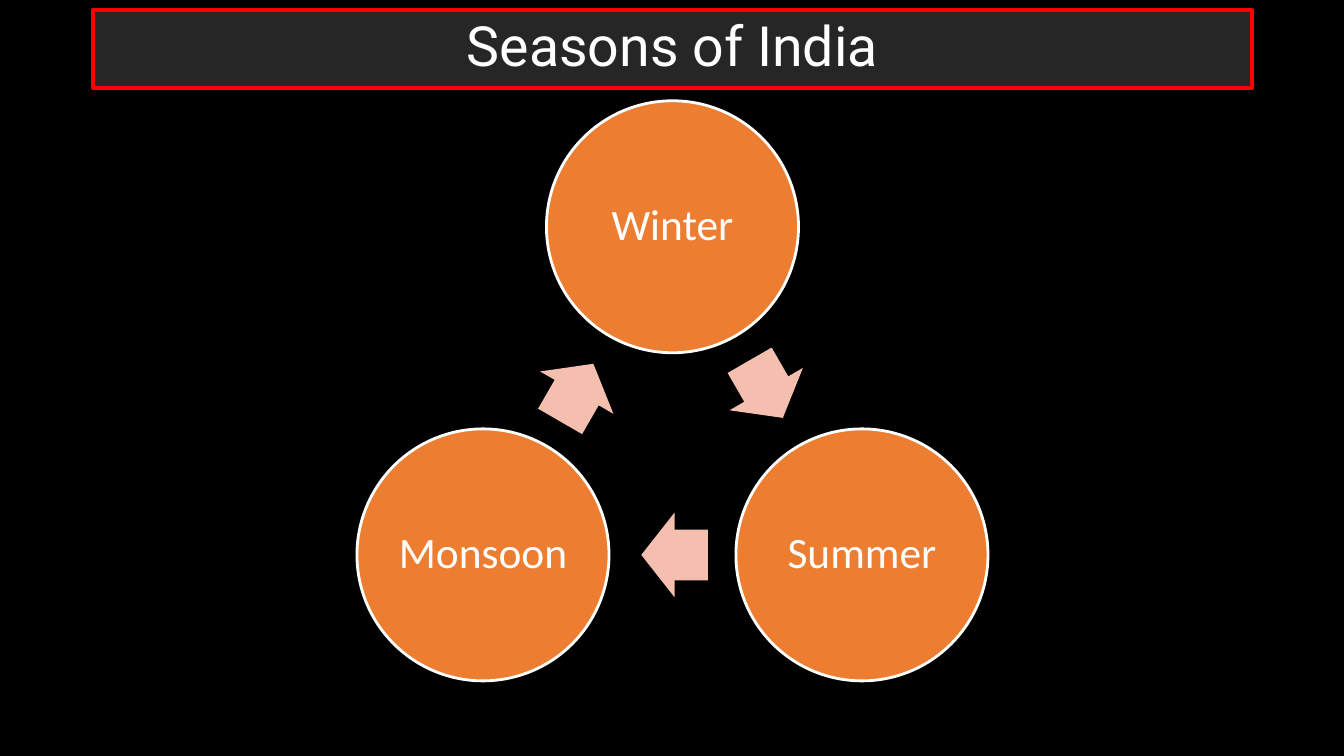
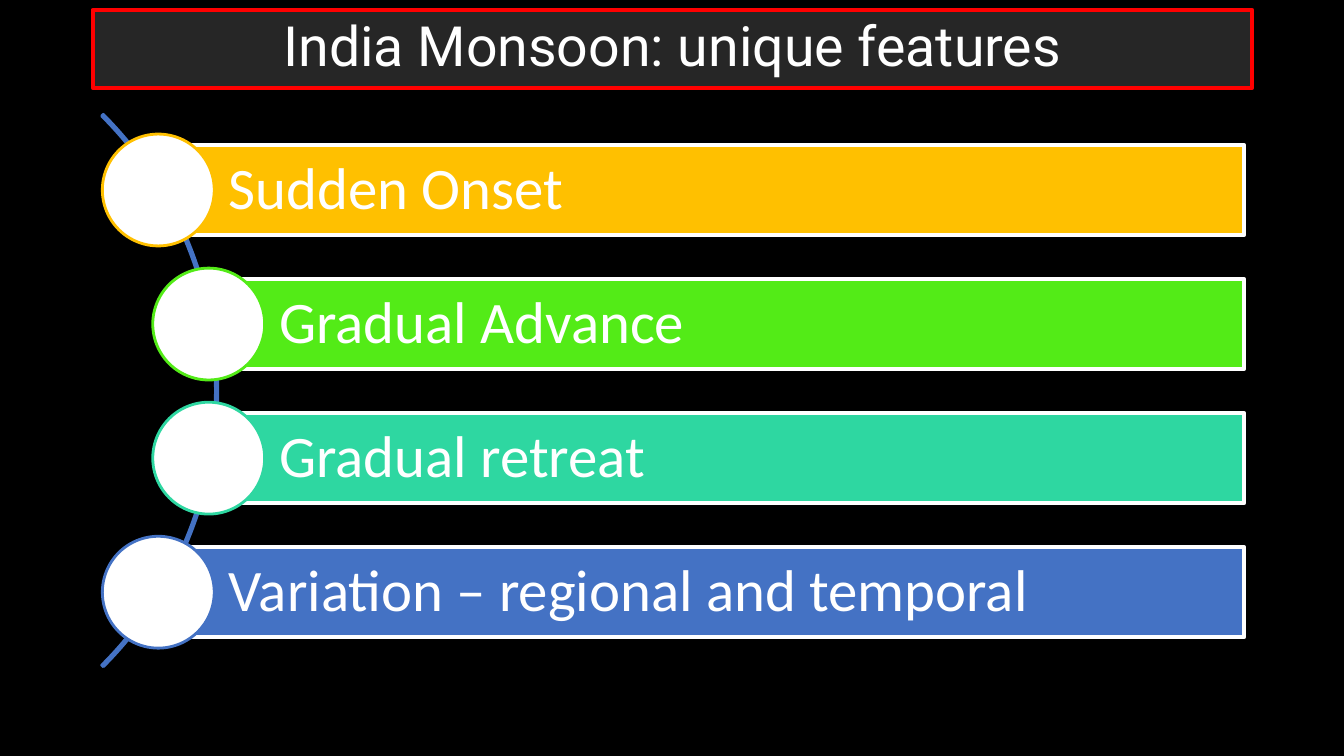
import math

from pptx import Presentation
from pptx import util as u
from pptx.dml.color import RGBColor
from pptx.enum import shapes, text

BLACK = RGBColor(0x00, 0x00, 0x00)
WHITE = RGBColor(0xFF, 0xFF, 0xFF)
CHARCOAL = RGBColor(0x26, 0x26, 0x26)
RED = RGBColor(0xFF, 0x00, 0x00)
ORANGE = RGBColor(0xED, 0x7D, 0x31)
PEACH = RGBColor(0xF4, 0xBF, 0xAE)
AMBER = RGBColor(0xFF, 0xC0, 0x00)
GREEN = RGBColor(0x53, 0xEB, 0x17)
TEAL = RGBColor(0x2E, 0xD7, 0xA1)
BLUE = RGBColor(0x44, 0x72, 0xC4)

SHAPE = shapes.MSO_SHAPE
ALIGN = text.PP_ALIGN


class SeasonDeck:
    """Holds the deck's style and current slide, and draws each kind of element."""

    body_font = "Calibri"
    title_font = "Roboto"

    def __init__(self):
        self.deck = Presentation()
        self.deck.slide_width = u.Inches(13.33)
        self.deck.slide_height = u.Inches(7.5)
        self.slide = None

    def add_slide(self, title):
        self.slide = self.deck.slides.add_slide(self.deck.slide_layouts[6])
        self.slide.background.fill.solid()
        self.slide.background.fill.fore_color.rgb = BLACK
        box = self.shape(SHAPE.ROUNDED_RECTANGLE, 0.92, 0.1, 11.5, 0.77,
                         CHARCOAL, RED, 3, [0])
        self.label(box, title, 39.6, self.title_font, ALIGN.CENTER, (0.1, 0.05, 0.1, 0.05))

    def shape(self, kind, left, top, width, height, fill=None, line=None,
              weight=2, adjustments=()):
        item = self.slide.shapes.add_shape(
            kind, u.Inches(left), u.Inches(top), u.Inches(width), u.Inches(height))
        item.shadow.inherit = False
        for index, value in enumerate(adjustments):
            item.adjustments[index] = value
        if fill is None:
            item.fill.background()
        else:
            item.fill.solid()
            item.fill.fore_color.rgb = fill
        if line is None:
            item.line.fill.background()
        else:
            item.line.color.rgb = line
            item.line.width = u.Pt(weight)
        return item

    def label(self, box, words, size, font, align, insets):
        frame = box.text_frame
        frame.word_wrap = True
        frame.vertical_anchor = text.MSO_ANCHOR.MIDDLE
        (frame.margin_left, frame.margin_top,
         frame.margin_right, frame.margin_bottom) = map(u.Inches, insets)
        para = frame.paragraphs[0]
        para.alignment = align
        para.line_spacing = 0.9
        span = para.add_run()
        span.text = words
        span.font.name = font
        span.font.size = u.Pt(size)
        span.font.color.rgb = WHITE

    def circle(self, x, y, diameter, fill, line):
        return self.shape(SHAPE.OVAL, x - diameter / 2, y - diameter / 2,
                          diameter, diameter, fill, line)

    def season(self, x, y, name):
        self.label(self.circle(x, y, 2.5, ORANGE, WHITE), name, 31,
                   self.body_font, ALIGN.CENTER, (0.04,) * 4)

    def arrow(self, x, y, angle):
        width, height = 0.66, 0.84
        arrow = self.shape(SHAPE.RIGHT_ARROW, x - width / 2, y - height / 2,
                           width, height, PEACH, adjustments=[0.6, 0.5])
        arrow.rotation = angle

    def cycle(self, names, x, y, radius):
        step = 360 / len(names)
        arrow_radius = radius * math.cos(math.radians(step / 2))
        setback = 0.02
        for index, name in enumerate(names):
            angle = math.radians(index * step - 90)
            self.season(x + radius * math.cos(angle), y + radius * math.sin(angle), name)
            heading = (index + 0.5) * step
            turn = math.radians(heading)
            middle = math.radians(heading - 90)
            self.arrow(x + arrow_radius * math.cos(middle) - setback * math.cos(turn),
                       y + arrow_radius * math.sin(middle) - setback * math.sin(turn),
                       heading)

    def arc(self, left, top, size, start, end):
        unit = 60000 / 100000
        self.shape(SHAPE.BLOCK_ARC, left, top, size, size, line=BLUE,
                   adjustments=[start * unit, end * unit, 0.003])

    def feature(self, left, top, words, color):
        right, height = 12.34, 0.89
        bar = self.shape(SHAPE.RECTANGLE, left, top, right - left, height,
                         color, WHITE, 3)
        self.label(bar, words, 42, self.body_font, ALIGN.LEFT, (0.7, 0.12, 0.12, 0.12))
        self.circle(left, top + height / 2, 1.11, WHITE, color)

    def save(self):
        self.deck.save("out.pptx")


def main():
    show = SeasonDeck()

    show.add_slide("Seasons of India")
    show.cycle(["Winter", "Summer", "Monsoon"], 6.67, 4.42, 2.17)

    show.add_slide("India Monsoon: unique features")
    show.arc(-5.59, 0, 7.75, 315, 45)
    features = [
        (1.57, "Sudden Onset", AMBER),
        (2.07, "Gradual Advance", GREEN),
        (2.07, "Gradual retreat", TEAL),
        (1.57, "Variation – regional and temporal", BLUE),
    ]
    for index, (left, words, color) in enumerate(features):
        show.feature(left, 1.44 + index * 1.33, words, color)

    show.save()


if __name__ == "__main__":
    main()
